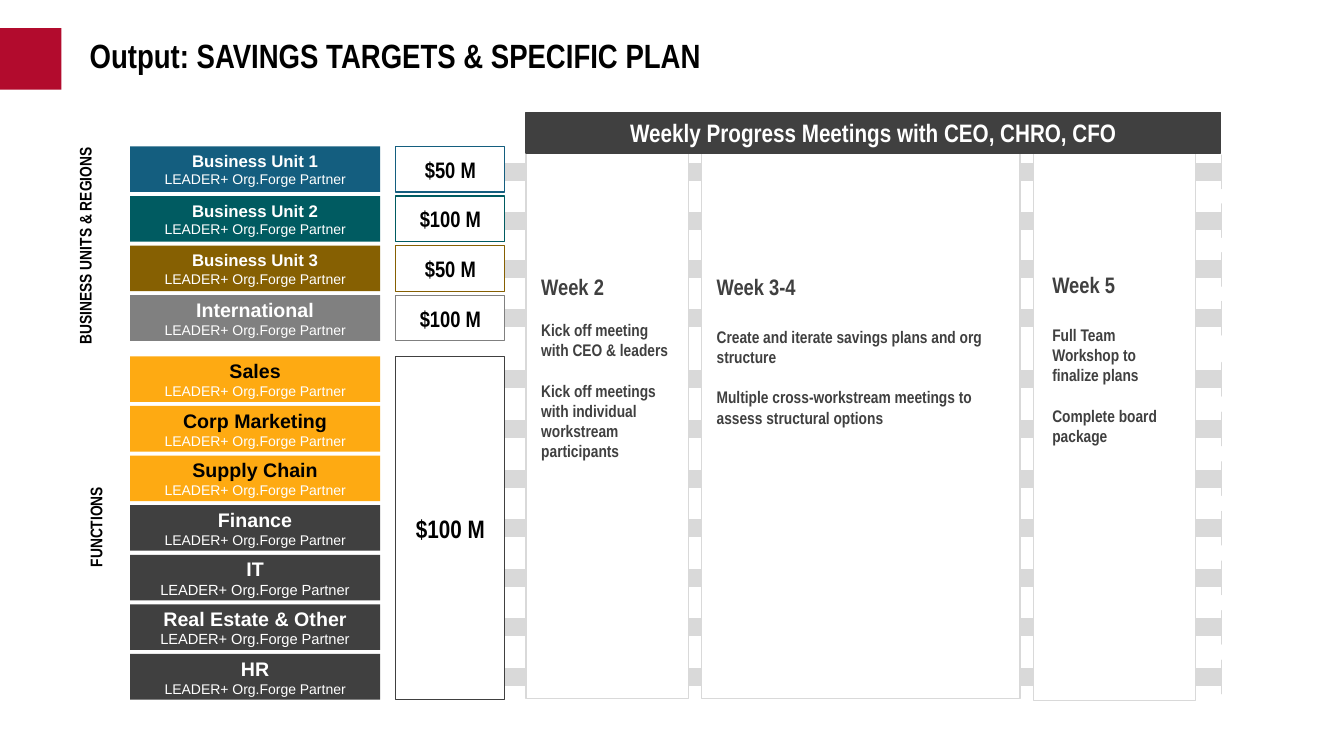
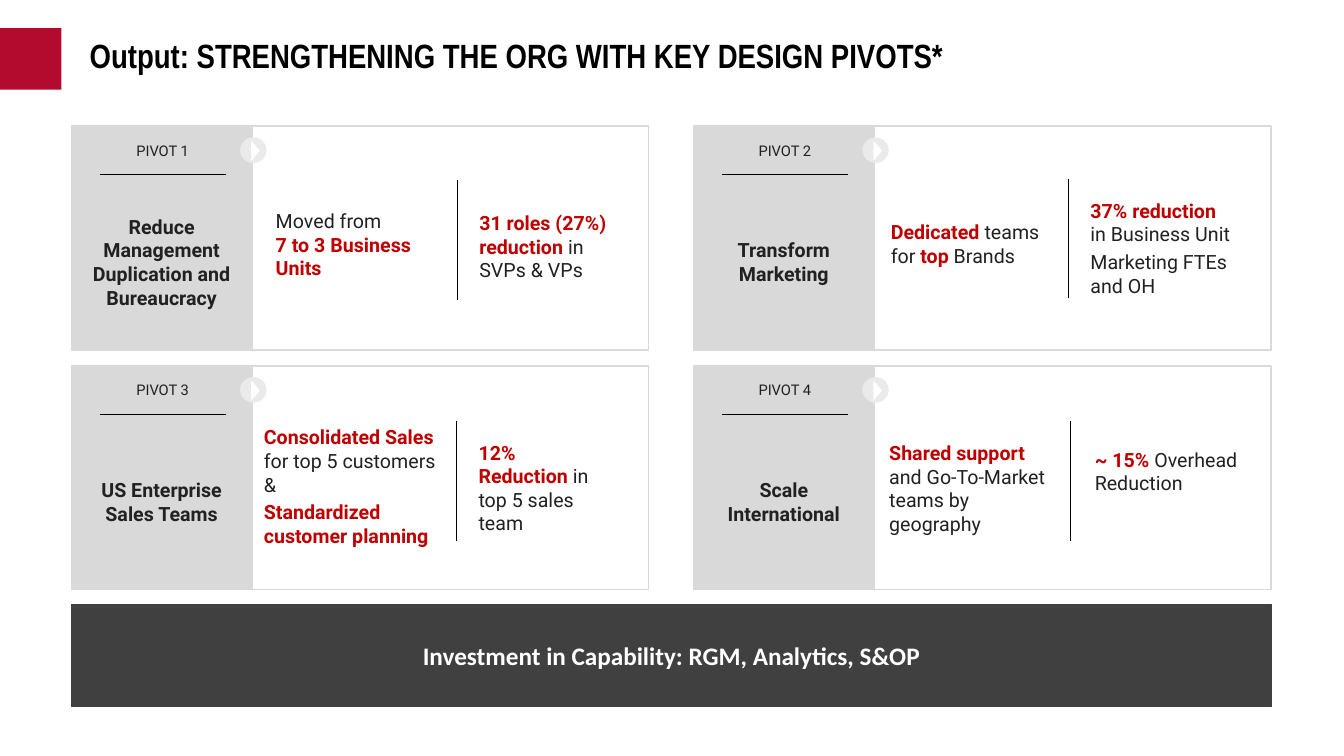
import pptx
import pptx.dml.color
import pptx.enum.shapes
import pptx.enum.text
import pptx.oxml
import pptx.util

Cm = pptx.util.Cm
Pt = pptx.util.Pt
SHAPE = pptx.enum.shapes.MSO_SHAPE
ALIGN = pptx.enum.text.PP_ALIGN
ANCHOR = pptx.enum.text.MSO_ANCHOR

RED, BRIGHT_RED = "B20B2D", "C00000"
BLACK, WHITE, DARK, INK = "000000", "FFFFFF", "404040", "212121"
LIGHT, PALE = "D9D9D9", "E9EAE9"
BLUE, TEAL, BROWN, GRAY, AMBER = "145E7F", "005B61", "866002", "808080", "FEAA12"
NARROW = "Arial Narrow"

PLAN_TITLE = "Output: SAVINGS TARGETS & SPECIFIC PLAN"
PARTNER = "LEADER+ Org.Forge Partner"
MEETINGS = "Weekly Progress Meetings with CEO, CHRO, CFO"
ROW_LEFT, ROW_WIDTH, ROW_HEIGHT, ROW_PITCH = 3.28, 6.3, 1.15, 1.25
TARGET_LEFT, TARGET_WIDTH = 9.98, 2.74
ROW_INSETS = (0.08, 0.08, 0.08, 0.08)

ROW_GROUPS = [
    {
        "label": "BUSINESS UNITS & REGIONS", "label_box": (-0.43, 5.56, 5.64, 1.27),
        "top": 3.69, "arrow_top": 3.91, "arrow_pitch": 1.23,
        "rows": [
            ("Business Unit 1", 12, WHITE, BLUE, 10, "$50 M"),
            ("Business Unit 2", 12, WHITE, TEAL, 10, "$100 M"),
            ("Business Unit 3", 12, WHITE, BROWN, 10, "$50 M"),
            ("International", 14, WHITE, GRAY, 10, "$100 M"),
        ],
    },
    {
        "label": "FUNCTIONS", "label_box": (0.64, 12.9, 3.53, 0.76),
        "top": 8.98, "arrow_top": 9.14, "arrow_pitch": 1.25, "total": "$100 M",
        "rows": [
            ("Sales", 14, BLACK, AMBER, 10, None),
            ("Corp Marketing", 14, BLACK, AMBER, 10, None),
            ("Supply Chain", 14, BLACK, AMBER, 10, None),
            ("Finance", 14, WHITE, DARK, 10, None),
            ("IT", 14, WHITE, DARK, 10.5, None),
            ("Real Estate & Other", 14, WHITE, DARK, 10.5, None),
            ("HR", 14, WHITE, DARK, 10, None),
        ],
    },
]

WEEKS = [
    {"box": (13.26, 3.53, 4.09, 14.07), "insets": (0.38, 3.35, 0.35, 0.13), "gap": 14.4,
     "heading": "Week 2",
     "steps": ["Kick off meeting with CEO & leaders",
               "Kick off meetings with individual workstream participants"]},
    {"box": (17.68, 3.53, 8.03, 14.07), "insets": (0.38, 3.35, 0.53, 0.13), "gap": 19.2,
     "heading": "Week 3-4",
     "steps": ["Create and iterate savings plans and org structure",
               "Multiple cross-workstream meetings to assess structural options"]},
    {"box": (26.04, 3.53, 4.09, 14.12), "insets": (0.48, 3.3, 0.48, 0.13), "gap": 19.2,
     "heading": "Week 5",
     "steps": ["Full Team Workshop to finalize plans", "Complete board package"]},
]

PIVOT_TITLE = "Output: STRENGTHENING THE ORG WITH KEY DESIGN PIVOTS*"
INVESTMENT = "Investment in Capability: RGM, Analytics, S&OP"
PANEL_LEFTS, PANEL_TOPS = (1.8, 17.48), (3.18, 9.22)
PANEL_WIDTH, PANEL_HEIGHT, NAME_WIDTH = 14.55, 5.64, 4.55

PIVOTS = [
    {"name": "Reduce Management Duplication and Bureaucracy", "divider": (9.73, 1.35), "inset": 0.25,
     "texts": [((4.9, 1.96, 4.01, 1.96), [("Moved from", 0), ("|7 to 3 Business Units|", 3)]),
               ((10.03, 2.01, 4.32, 1.96), [("|31 roles (27%) reduction |in SVPs & VPs", 3)])]},
    {"name": "Transform Marketing", "divider": (9.45, 1.32), "inset": 0.25,
     "texts": [((4.72, 2.24, 4.6, 1.4), [("|Dedicated |teams for |top| Brands", 3)]),
               ((9.75, 1.7, 4.83, 2.64), [("|37% reduction|", 0), ("in Business Unit", 3),
                                          ("Marketing FTEs and OH", 3)])]},
    {"name": "US Enterprise Sales Teams", "divider": (9.7, 1.4), "inset": 0.1,
     "texts": [((4.75, 1.4, 4.55, 3.18), [("|Consolidated Sales |for top 5 customers &", 3),
                                          ("|Standardized customer planning|", 3)]),
               ((10.16, 1.78, 3.2, 2.49), [("|12% Reduction |in top 5 sales team", 3)])]},
    {"name": "Scale International", "divider": (9.5, 1.4), "inset": 0.1,
     "texts": [((4.83, 1.8, 4.55, 2.49), [("|Shared support |and Go-To-Market teams by geography", 3)]),
               ((10.01, 1.96, 4.57, 1.35), [("|~ 15% |Overhead Reduction", 3)])]},
]


def rgb(value):
    return pptx.dml.color.RGBColor.from_string(value)


def set_values(target, values):
    for name, value in values.items():
        setattr(target, name, value)


def style(name, size, color, bold=True):
    return {"name": name, "size": Pt(size), "bold": bold, "color": color}


def line(runs, **values):
    return runs, values


def write(shape, lines, align=ALIGN.LEFT, anchor=ANCHOR.TOP, insets=(0.25, 0.13, 0.25, 0.13)):
    frame = shape.text_frame
    margins = ("margin_left", "margin_top", "margin_right", "margin_bottom")
    set_values(frame, {"word_wrap": True, "auto_size": pptx.enum.text.MSO_AUTO_SIZE.NONE,
                       "vertical_anchor": anchor})
    set_values(frame, {margin: Cm(inset) for margin, inset in zip(margins, insets)})
    for index, (runs, values) in enumerate(lines):
        paragraph = frame.add_paragraph() if index else frame.paragraphs[0]
        set_values(paragraph, {"alignment": align, **values})
        for text, font_values in runs:
            run = paragraph.add_run()
            run.text = text
            set_values(run.font, {key: value for key, value in font_values.items() if key != "color"})
            run.font.color.rgb = rgb(font_values["color"])


def add_shape(slide, kind, box, fill=None, border=None, weight=1):
    shape = slide.shapes.add_shape(kind, *map(Cm, box))
    shape.shadow.inherit = False
    if fill:
        shape.fill.solid()
        shape.fill.fore_color.rgb = rgb(fill)
    else:
        shape.fill.background()
    if border:
        shape.line.color.rgb = rgb(border)
        shape.line.width = Pt(weight)
    else:
        shape.line.fill.background()
    return shape


def add_text(slide, box, lines, **options):
    shape = slide.shapes.add_textbox(*map(Cm, box))
    write(shape, lines, **options)
    return shape


def add_rule(slide, *ends):
    connector = slide.shapes.add_connector(pptx.enum.shapes.MSO_CONNECTOR.STRAIGHT, *map(Cm, ends))
    connector.line.color.rgb = rgb(BLACK)
    connector.line.width = Pt(0.5)
    properties = connector._element.spPr
    properties.append(pptx.oxml.parse_xml(
        '<a:effectLst xmlns:a="http://schemas.openxmlformats.org/drawingml/2006/main"/>'))


def add_titled_slide(presentation, text):
    slide = presentation.slides.add_slide(presentation.slide_layouts[5])
    add_shape(slide, SHAPE.RECTANGLE, (0, 0.71, 1.55, 1.55), RED)
    title = slide.shapes.title
    places = ("left", "top", "width", "height")
    set_values(title, dict(zip(places, map(Cm, (2.01, 0.86, 31.39, 1.27)))))
    write(title, [line([(text, style(NARROW, 24, BLACK))], line_spacing=0.9)])
    return slide


def add_target(slide, top, height, text, size, border):
    shape = add_shape(slide, SHAPE.RECTANGLE, (TARGET_LEFT, top, TARGET_WIDTH, height), WHITE, border, 0.75)
    write(shape, [line([(text, style(NARROW, size, BLACK))])], ALIGN.CENTER, ANCHOR.MIDDLE, ROW_INSETS)


def add_row_group(slide, group):
    for index in range(len(group["rows"])):
        top = group["arrow_top"] + index * group["arrow_pitch"]
        arrow = add_shape(slide, SHAPE.RIGHT_ARROW, (11.35, top, 19.43, 0.84), LIGHT, LIGHT)
        arrow.adjustments[0] = 0.5
        arrow.adjustments[1] = 0
    for index, (name, size, color, fill, partner_size, target) in enumerate(group["rows"]):
        top = group["top"] + index * ROW_PITCH
        row = add_shape(slide, SHAPE.RECTANGLE, (ROW_LEFT, top, ROW_WIDTH, ROW_HEIGHT), fill)
        write(row, [line([(name, style("Arial", size, color))]),
                    line([(PARTNER, style("Arial", partner_size, WHITE, False))])],
              ALIGN.CENTER, ANCHOR.MIDDLE, ROW_INSETS)
        if target:
            add_target(slide, top, ROW_HEIGHT, target, 16, fill)
    if "total" in group:
        height = (len(group["rows"]) - 1) * ROW_PITCH + ROW_HEIGHT
        add_target(slide, group["top"], height, group["total"], 18, DARK)
    label = add_text(slide, group["label_box"], [line([(group["label"], style(NARROW, 12, BLACK))])],
                     align=ALIGN.CENTER)
    label.rotation = 270


def build_plan(presentation):
    slide = add_titled_slide(presentation, PLAN_TITLE)
    for group in ROW_GROUPS:
        add_row_group(slide, group)
    for week in WEEKS:
        column = add_shape(slide, SHAPE.RECTANGLE, week["box"], WHITE, LIGHT)
        lines = [line([(week["heading"], style(NARROW, 16, DARK))])]
        for index, step in enumerate(week["steps"]):
            gap = 14.4 if index else week["gap"]
            lines.append(line([(step, style(NARROW, 12, DARK))], space_before=Pt(gap)))
        write(column, lines, insets=week["insets"])
    band = add_shape(slide, SHAPE.RECTANGLE, (13.26, 2.84, 17.5, 1.02), DARK, DARK)
    write(band, [line([(MEETINGS, style(NARROW, 18, WHITE))])], ALIGN.CENTER, ANCHOR.MIDDLE)


def highlighted(text):
    plain, strong = style("Roboto", 14, INK, False), style("Roboto", 14, BRIGHT_RED)
    return [(part, strong if index % 2 else plain)
            for index, part in enumerate(text.split("|")) if part]


def add_pivot(slide, number, pivot, left, top):
    centered = {"align": ALIGN.CENTER, "anchor": ANCHOR.MIDDLE}
    add_shape(slide, SHAPE.RECTANGLE, (left, top, NAME_WIDTH, PANEL_HEIGHT), LIGHT, LIGHT)
    add_text(slide, (left + 0.71, top + 0.18, 3.18, 0.86),
             [line([(f"PIVOT {number}", style("Roboto", 10.5, INK, False))])], **centered)
    add_rule(slide, left + 0.71, top + 1.21, left + 3.89, top + 1.21)
    add_text(slide, (left, top + 2.01, NAME_WIDTH, 2.82),
             [line([(pivot["name"], style("Roboto", 14, INK))])], **centered)
    add_shape(slide, SHAPE.OVAL, (left + 4.27, top + 0.3, 0.63, 0.61), PALE, PALE)
    pointer = add_shape(slide, SHAPE.ISOSCELES_TRIANGLE, (left + 4.42, top + 0.53, 0.43, 0.18), WHITE, WHITE)
    pointer.rotation = 90
    inset = pivot["inset"]
    for (x, y, width, height), paragraphs in pivot["texts"]:
        add_text(slide, (left + x, top + y, width, height),
                 [line(highlighted(text), space_after=Pt(after)) for text, after in paragraphs],
                 insets=(inset, min(inset, 0.13), inset, min(inset, 0.13)))
    x, y = pivot["divider"]
    add_rule(slide, left + x, top + y, left + x, top + y + 3.02)
    add_shape(slide, SHAPE.RECTANGLE, (left, top, PANEL_WIDTH, PANEL_HEIGHT), None, LIGHT)


def build_pivots(presentation):
    slide = add_titled_slide(presentation, PIVOT_TITLE)
    for index, pivot in enumerate(PIVOTS):
        row, column = divmod(index, 2)
        add_pivot(slide, index + 1, pivot, PANEL_LEFTS[column], PANEL_TOPS[row])
    band = add_shape(slide, SHAPE.RECTANGLE, (1.8, 15.24, 30.25, 2.57), DARK, DARK, 0.75)
    write(band, [line([(INVESTMENT, style("Calibri", 18, WHITE))])], ALIGN.CENTER, ANCHOR.MIDDLE)


def main():
    presentation = pptx.Presentation()
    presentation.slide_width = Cm(33.87)
    presentation.slide_height = Cm(19.05)
    build_plan(presentation)
    build_pivots(presentation)
    presentation.save("out.pptx")


if __name__ == "__main__":
    main()
